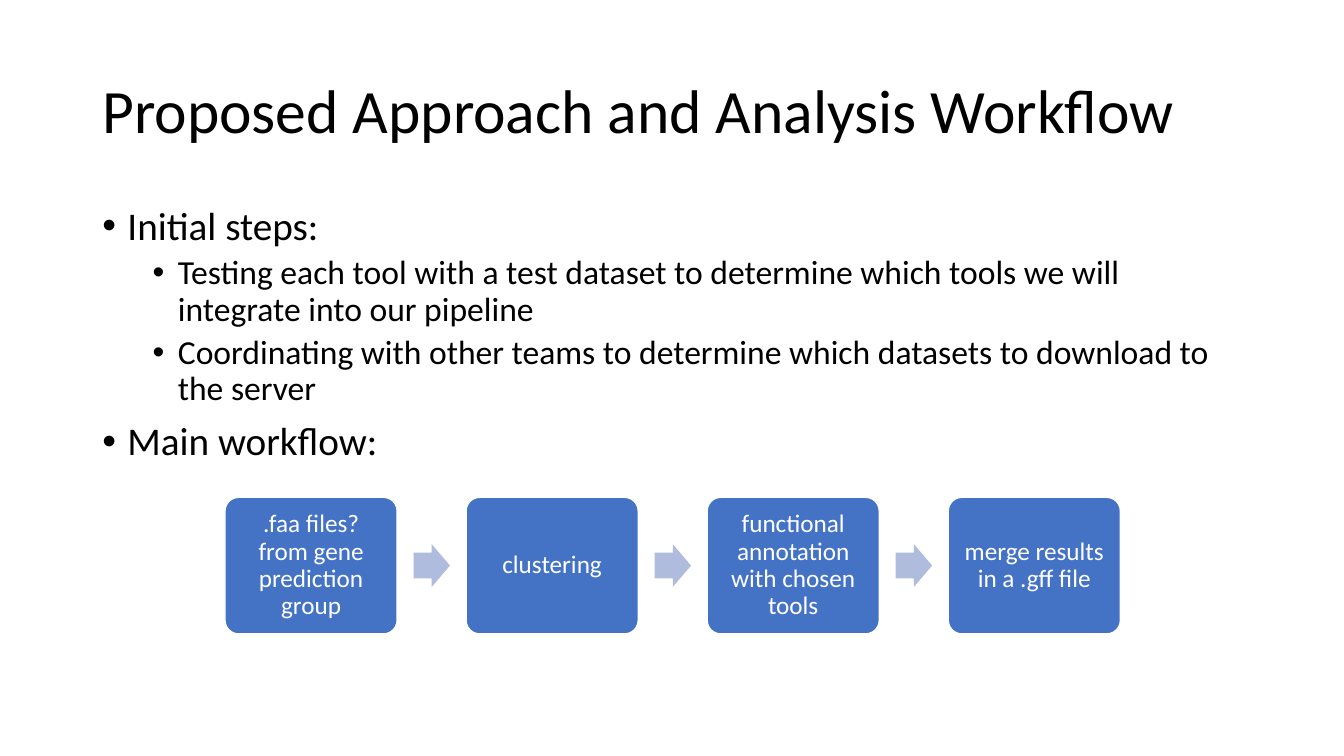
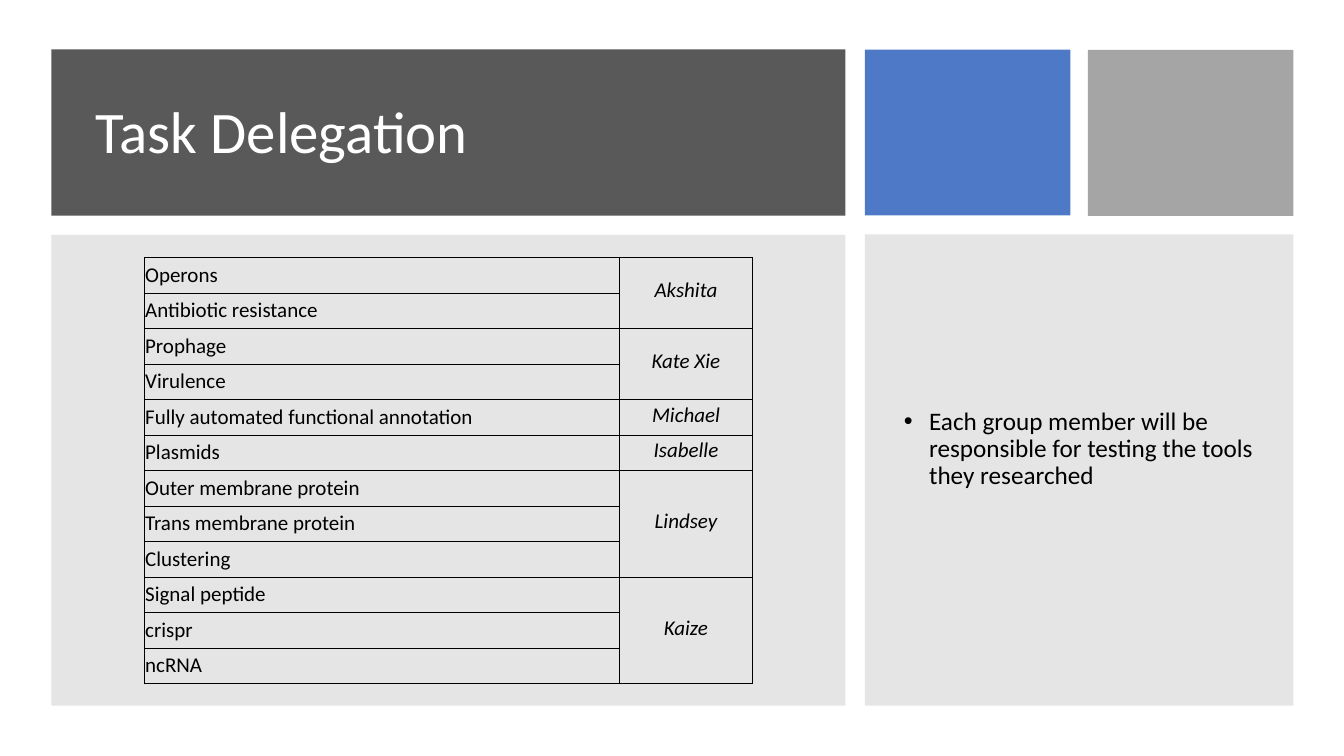
from dataclasses import dataclass
from typing import NamedTuple

from lxml import etree
from pptx import Presentation
from pptx.dml.color import RGBColor
from pptx.enum.shapes import MSO_SHAPE
from pptx.enum.text import MSO_ANCHOR, PP_ALIGN
from pptx.oxml.ns import qn
from pptx.util import Pt

RECT, ROUNDED, ARROW = (
    MSO_SHAPE.RECTANGLE, MSO_SHAPE.ROUNDED_RECTANGLE, MSO_SHAPE.RIGHT_ARROW)
TOP, MIDDLE, BOTTOM = MSO_ANCHOR.TOP, MSO_ANCHOR.MIDDLE, MSO_ANCHOR.BOTTOM
LEFT, CENTER = PP_ALIGN.LEFT, PP_ALIGN.CENTER

FONT = "Calibri"
LINE_SPACING = 0.9
COLORS = {
    "black": "000000",
    "white": "FFFFFF",
    "blue": "4472C4",
    "pale_blue": "B0BCDE",
    "charcoal": "595959",
    "silver": "A5A5A5",
    "gray": "7F7F7F",
}
CELL_MARGINS = {"margin_left": Pt(0.7), "margin_right": Pt(0.7),
                "margin_top": Pt(0.7), "margin_bottom": Pt(3.6)}


class Box(NamedTuple):
    left: float
    top: float
    width: float
    height: float

    def lengths(self) -> tuple:
        return tuple(Pt(value) for value in self)


@dataclass
class Line:
    """One paragraph with its size, indent and spacing in points."""
    text: str
    size: float
    color: str = "black"
    italic: bool = False
    align: int = LEFT
    indent: float = 0
    before: float = 0
    spacing: float = LINE_SPACING


@dataclass
class Panel:
    box: Box
    color: str
    opacity: int = 100


class Task(NamedTuple):
    member: str
    topics: list


def rgb(name: str) -> RGBColor:
    return RGBColor.from_string(COLORS[name])


# Shared drawing functions
def write(frame, lines: list, anchor: int) -> None:
    frame.word_wrap = True
    frame.vertical_anchor = anchor
    for number, line in enumerate(lines):
        paragraph = frame.add_paragraph() if number else frame.paragraphs[0]
        layout = {"alignment": line.align, "line_spacing": line.spacing,
                  "space_before": Pt(line.before)}
        for key, value in layout.items():
            setattr(paragraph, key, value)
        run = paragraph.add_run()
        run.text = line.text
        style = {"name": FONT, "size": Pt(line.size), "italic": line.italic}
        for key, value in style.items():
            setattr(run.font, key, value)
        run.font.color.rgb = rgb(line.color)
        if line.indent:
            add_bullet(paragraph, line.indent)


def add_bullet(paragraph, indent: float) -> None:
    properties = paragraph._p.get_or_add_pPr()
    properties.set("marL", str(Pt(indent)))
    properties.set("indent", str(-Pt(18)))
    etree.SubElement(properties, qn("a:buFont"), typeface="Arial")
    etree.SubElement(properties, qn("a:buChar"), char="•")


def add_text(slide, box: Box, lines: list, anchor: int = TOP) -> None:
    write(slide.shapes.add_textbox(*box.lengths()).text_frame, lines, anchor)


def add_title(slide, box: Box, text: str, size: float, color: str) -> None:
    add_text(slide, box, [Line(text, size, color)], MIDDLE)


def add_filled(slide, kind: int, panel: Panel, adjustments: tuple = ()):
    shape = slide.shapes.add_shape(kind, *panel.box.lengths())
    shape.shadow.inherit = False
    shape.fill.solid()
    shape.fill.fore_color.rgb = rgb(panel.color)
    shape.line.fill.background()
    for number, value in enumerate(adjustments):
        shape.adjustments[number] = value
    if panel.opacity < 100:
        color = shape._element.spPr.find(qn("a:solidFill"))[0]
        etree.SubElement(color, qn("a:alpha"), val=str(panel.opacity * 1000))
    return shape


# Workflow slide
STEPS = [".faa files? from gene prediction group", "clustering",
         "functional annotation with chosen tools",
         "merge results in a .gff file"]
FIRST_STEP = Box(160.7, 355.2, 123, 97.6)
STEP_PITCH = 172.2
ARROW_OFFSET, ARROW_WIDTH, ARROW_HEIGHT = 134.7, 26, 30.5


def add_workflow(slide) -> None:
    left, top, width, height = FIRST_STEP
    for number, text in enumerate(STEPS):
        step_left = left + number * STEP_PITCH
        if number:
            arrow = Box(step_left - STEP_PITCH + ARROW_OFFSET,
                        top + (height - ARROW_HEIGHT) / 2,
                        ARROW_WIDTH, ARROW_HEIGHT)
            add_filled(slide, ARROW, Panel(arrow, "pale_blue"), (0.6, 0.5))
        step = add_filled(slide, ROUNDED, Panel(
            Box(step_left, top, width, height), "blue"), (0.1,))
        step.line.color.rgb = rgb("white")
        step.line.width = Pt(1)
        for side in ("left", "right", "top", "bottom"):
            setattr(step.text_frame, f"margin_{side}", Pt(5))
        write(step.text_frame, [Line(text, 18, "white", align=CENTER)], MIDDLE)


def topic(text: str) -> Line:
    return Line(text, 28, indent=18, before=10)


def detail(text: str) -> Line:
    return Line(text, 24, indent=54, before=5)


def build_workflow_slide(slide) -> None:
    add_title(slide, Box(66, 28.8, 828, 104.4),
              "Proposed Approach and Analysis Workflow", 44, "black")
    add_text(slide, Box(66, 144, 828, 342.7), [
        topic("Initial steps:"),
        detail("Testing each tool with a test dataset to determine which "
               "tools we will integrate into our pipeline"),
        detail("Coordinating with other teams to determine which datasets "
               "to download to the server"),
        topic("Main workflow:"),
    ])
    add_workflow(slide)


# Delegation slide
PANELS = [
    Panel(Box(36.7, 35.3, 567.2, 118.7), "charcoal"),
    Panel(Box(617.8, 35.5, 146.7, 118.5), "blue", 95),
    Panel(Box(777, 35.7, 146.9, 118.5), "silver"),
    Panel(Box(36.7, 167.8, 567.2, 336.2), "gray", 20),
    Panel(Box(617.8, 167.5, 306.1, 336.5), "gray", 20),
]
TASKS = [
    Task("Akshita", ["Operons", "Antibiotic resistance"]),
    Task("Kate Xie", ["Prophage", "Virulence"]),
    Task("Michael", ["Fully automated functional annotation"]),
    Task("Isabelle", ["Plasmids"]),
    Task("Lindsey", ["Outer membrane protein", "Trans membrane protein",
                     "Clustering"]),
    Task("Kaize", ["Signal peptide", "crispr", "ncRNA"]),
]
TABLE_LEFT, TABLE_TOP, ROW_HEIGHT = 103, 183.8, 25.38
COLUMN_WIDTHS = (339.5, 95)


def format_cell(cell) -> None:
    for key, value in CELL_MARGINS.items():
        setattr(cell, key, value)
    cell.fill.background()
    properties = cell._tc.get_or_add_tcPr()
    for position, side in enumerate("LRTB"):
        border = etree.Element(qn(f"a:ln{side}"), w=str(Pt(0.5)))
        fill = etree.SubElement(border, qn("a:solidFill"))
        etree.SubElement(fill, qn("a:srgbClr"), val=COLORS["black"])
        properties.insert(position, border)


def write_cell(cell, line: Line, anchor: int) -> None:
    write(cell.text_frame, [line], anchor)
    cell.vertical_anchor = anchor


def add_task_table(slide) -> None:
    row_count = sum(len(task.topics) for task in TASKS)
    box = Box(TABLE_LEFT, TABLE_TOP, sum(COLUMN_WIDTHS),
              row_count * ROW_HEIGHT)
    table = slide.shapes.add_table(
        row_count, len(COLUMN_WIDTHS), *box.lengths()).table
    table.first_row = table.horz_banding = False
    for column, width in zip(table.columns, COLUMN_WIDTHS):
        column.width = Pt(width)
    for row in table.rows:
        row.height = Pt(ROW_HEIGHT)
    for cell in table.iter_cells():
        format_cell(cell)
    first = 0
    for task in TASKS:
        for number, text in enumerate(task.topics, first):
            write_cell(table.cell(number, 0), Line(text, 15, spacing=1), BOTTOM)
        last = first + len(task.topics) - 1
        owner = table.cell(first, 1)
        if last > first:
            owner.merge(table.cell(last, 1))
        write_cell(owner, Line(task.member, 15, italic=True, align=CENTER,
                               spacing=1), MIDDLE)
        first = last + 1


def build_delegation_slide(slide) -> None:
    for panel in PANELS:
        add_filled(slide, RECT, panel)
    add_title(slide, Box(61.2, 54.7, 520.6, 82.1),
              "Task Delegation", 42, "white")
    add_text(slide, Box(638.6, 173.6, 264.2, 294.5), [
        Line("Each group member will be responsible for testing the tools "
             "they researched", 18, indent=18, before=10)], MIDDLE)
    add_task_table(slide)


def main() -> None:
    deck = Presentation()
    deck.slide_width, deck.slide_height = Pt(960), Pt(540)
    blank = deck.slide_layouts[6]
    for build in (build_workflow_slide, build_delegation_slide):
        build(deck.slides.add_slide(blank))
    deck.save("out.pptx")


if __name__ == "__main__":
    main()
